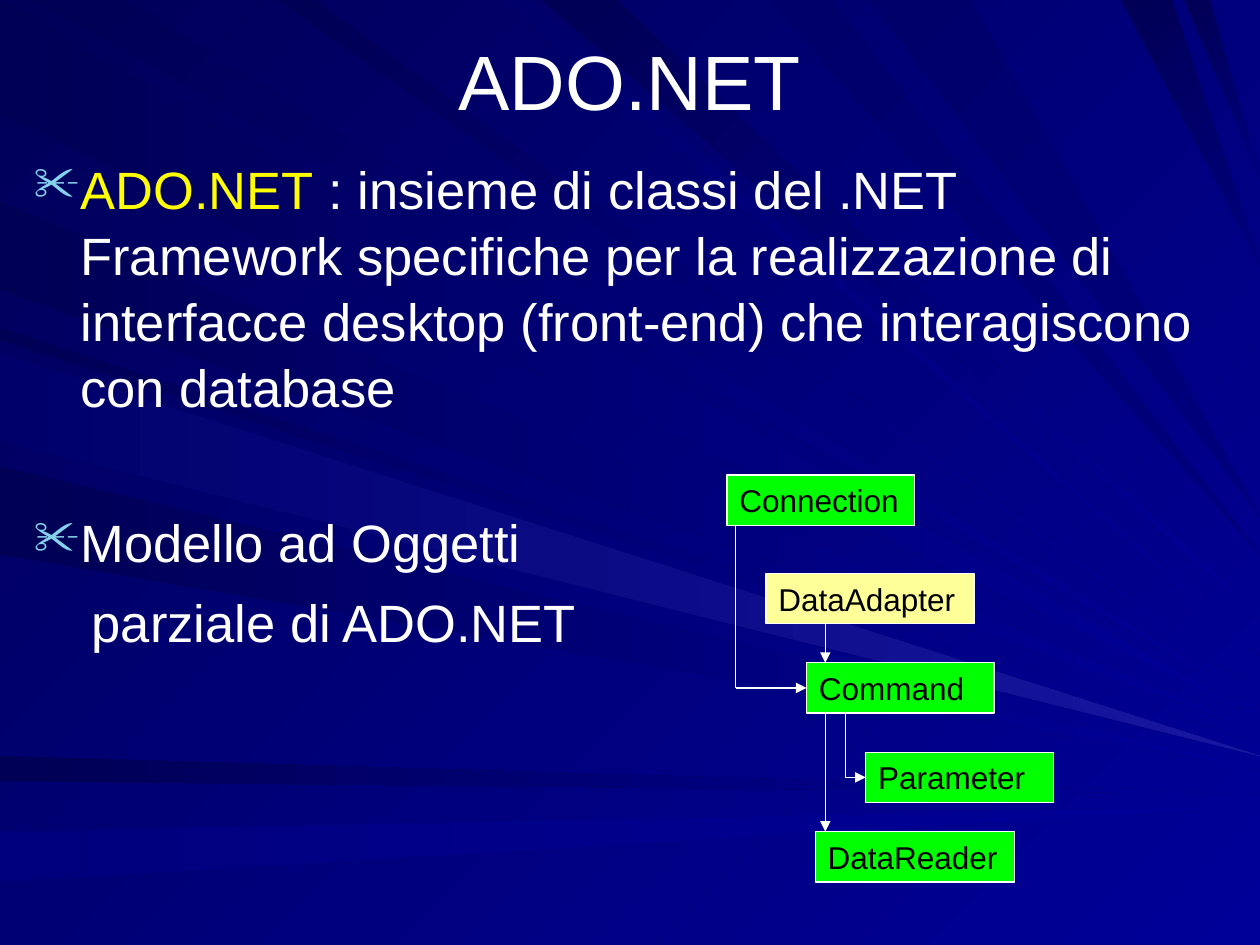
from lxml.etree import SubElement
from pptx import Presentation
from pptx.dml.color import RGBColor
from pptx.enum.shapes import MSO_CONNECTOR, MSO_SHAPE
from pptx.enum.text import MSO_ANCHOR, PP_ALIGN
from pptx.oxml.ns import qn
from pptx.util import Inches, Pt

WHITE = RGBColor(0xFF, 0xFF, 0xFF)
BLACK = RGBColor(0x00, 0x00, 0x00)
YELLOW = RGBColor(0xFF, 0xFF, 0x00)
GREEN = RGBColor(0x00, 0xFF, 0x00)
CREAM = RGBColor(0xFF, 0xFF, 0x99)
NIGHT = RGBColor(0x00, 0x00, 0x58)
DARK_RAY = RGBColor(0x00, 0x00, 0x55)
MID_RAY = RGBColor(0x00, 0x00, 0x6B)
SOFT_RAY = RGBColor(0x00, 0x00, 0x7D)
BLUE = RGBColor(0x00, 0x00, 0x99)
GLOW = RGBColor(0x17, 0x17, 0xA2)
FONT = "Arial"
BULLET, BULLET_COLOR, BULLET_SIZE = "✂", "86D1EC", 90
LEFT_SIDE = 1

# Content
TITLE = "ADO.NET"
# runs (text, colour), bulleted, left margin, space before
BODY = [
    ([("ADO.NET", YELLOW),
      (" : insieme di classi del .NET Framework specifiche per la realizzazione di "
       "interfacce desktop (front-end) che interagiscono con database", WHITE)], True, 0.37, 0),
    ([("Modello ad Oggetti", WHITE)], True, 0.37, 51),
    ([("parziale di ADO.NET", WHITE)], False, 0.46, 7.5),
]
# name: left, top, width, fill
BOX_HEIGHT = 0.4
BOXES = {
    "Connection": (5.77, 3.77, 1.49, GREEN),
    "DataAdapter": (6.08, 4.55, 1.65, CREAM),
    "Command": (6.4, 5.26, 1.49, GREEN),
    "Parameter": (6.87, 5.97, 1.49, GREEN),
    "DataReader": (6.47, 6.6, 1.58, GREEN),
}
# source, target, x of the vertical part, whether it turns into the target's left side
LINKS = [
    ("Connection", "Command", 5.84, True),
    ("DataAdapter", "Command", 6.55, False),
    ("Command", "DataReader", 6.55, False),
    ("Command", "Parameter", 6.71, True),
]
# Rays: start and end along the edge, height of the tip on the right edge, colours
LEFT_RAYS = [
    (0, 0.9, 5.7, DARK_RAY, BLUE),
    (1.6, 2.3, 5.8, DARK_RAY, BLUE),
    (2.6, 2.7, 5.9, DARK_RAY, BLUE),
    (3.7, 4.4, 6.1, DARK_RAY, BLUE),
    (6, 6.2, 6.3, DARK_RAY, BLUE),
    (6.6, 7, 6.4, SOFT_RAY, BLUE),
    (2.8, 3.5, 6, MID_RAY, GLOW),
]
TOP_RAYS = [
    (0.3, 1, 5.6, DARK_RAY, BLUE),
    (2.2, 2.5, 5.5, DARK_RAY, BLUE),
    (4, 4.2, 5.2, MID_RAY, BLUE),
    (4.3, 4.9, 4.9, DARK_RAY, BLUE),
    (6.1, 6.6, 4.4, MID_RAY, SOFT_RAY),
    (6.9, 7.7, 4.1, MID_RAY, SOFT_RAY),
    (8.9, 9.3, 2.1, DARK_RAY, SOFT_RAY),
    (9.4, 9.6, 1.4, DARK_RAY, SOFT_RAY),
]


def set_gradient(fill, first, last, angle):
    fill.gradient()
    fill.gradient_angle = -angle % 360
    for stop, color in zip(fill.gradient_stops, (first, last)):
        stop.color.rgb = color


def add_ray(group, start, end, tip, first, last, *, from_top):
    edge = [(Inches(place), 0) if from_top else (0, Inches(place)) for place in (start, end)]
    builder = group.shapes.build_freeform(*edge[0])
    builder.add_line_segments([edge[1], (Inches(10), Inches(tip))], close=True)
    ray = builder.convert_to_shape()
    ray.shadow.inherit = False
    ray.line.fill.background()
    set_gradient(ray.fill, first, last, 45 if from_top else 0)


def write(paragraph, runs, *, size, align=PP_ALIGN.LEFT, bulleted=False, margin=0,
          before=0, spacing=None):
    properties = paragraph._p.get_or_add_pPr()
    properties.set("marL", str(Inches(margin)))
    properties.set("indent", str(-Inches(margin) if bulleted else 0))
    if bulleted:
        color = SubElement(properties, qn("a:buClr"))
        SubElement(color, qn("a:srgbClr"), val=BULLET_COLOR)
        SubElement(properties, qn("a:buSzPct"), val=str(BULLET_SIZE * 1000))
        SubElement(properties, qn("a:buChar"), char=BULLET)
    else:
        SubElement(properties, qn("a:buNone"))
    paragraph.alignment = align
    paragraph.space_before = Pt(before)
    if spacing:
        paragraph.line_spacing = spacing
    for text, color in runs:
        run = paragraph.add_run()
        run.text = text
        run.font.name, run.font.size, run.font.color.rgb = FONT, Pt(size), color


def add_line(slide, start, end, target=None, arrow=True):
    line = slide.shapes.add_connector(MSO_CONNECTOR.STRAIGHT, *map(Inches, start + end))
    line.line.color.rgb, line.line.width = WHITE, Pt(0.75)
    if target is not None:
        line.end_connect(target, LEFT_SIDE)
    if arrow:
        SubElement(line.line._get_or_add_ln(), qn("a:tailEnd"), type="triangle")
    SubElement(line._element.spPr, qn("a:effectLst"))


def main():
    presentation = Presentation()
    presentation.slide_width, presentation.slide_height = Inches(10), Inches(7.5)
    slide = presentation.slides.add_slide(presentation.slide_layouts[5])
    title = slide.shapes.title

    # Background with rays, behind the title
    set_gradient(slide.background.fill, NIGHT, BLUE, 45)
    rays = slide.shapes.add_group_shape()
    for from_top, group in ((False, LEFT_RAYS), (True, TOP_RAYS)):
        for ray in group:
            add_ray(rays, *ray, from_top=from_top)
    title.element.addprevious(rays.element)

    # Title
    title.left, title.top, title.width, title.height = map(Inches, (0.75, 0.17, 8.5, 0.92))
    title.text_frame.vertical_anchor = MSO_ANCHOR.MIDDLE
    write(title.text_frame.paragraphs[0], [(TITLE, WHITE)], size=44, align=PP_ALIGN.CENTER)

    # Body text
    frame = slide.shapes.add_textbox(*map(Inches, (0.17, 1.17, 9.58, 4.5))).text_frame
    frame.word_wrap = True
    for index, (runs, bulleted, margin, before) in enumerate(BODY):
        paragraph = frame.add_paragraph() if index else frame.paragraphs[0]
        write(paragraph, runs, size=30, bulleted=bulleted, margin=margin,
              before=before, spacing=1.05)

    # Object model boxes
    shapes = {}
    for name, (left, top, width, color) in BOXES.items():
        box = slide.shapes.add_shape(
            MSO_SHAPE.RECTANGLE, *map(Inches, (left, top, width, BOX_HEIGHT)))
        box.shadow.inherit = False
        box.fill.solid()
        box.fill.fore_color.rgb = color
        box.line.color.rgb, box.line.width = WHITE, Pt(0.75)
        box.text_frame.vertical_anchor = MSO_ANCHOR.MIDDLE
        write(box.text_frame.paragraphs[0], [(name, BLACK)], size=18)
        shapes[name] = box

    # Links between the boxes
    for source, target, x, turns in LINKS:
        bottom = BOXES[source][1] + BOX_HEIGHT
        left, top = BOXES[target][:2]
        if turns:
            middle = top + BOX_HEIGHT / 2
            add_line(slide, (x, bottom), (x, middle), arrow=False)
            add_line(slide, (x, middle), (left, middle), target=shapes[target])
        else:
            add_line(slide, (x, bottom), (x, top))

    presentation.save("out.pptx")


if __name__ == "__main__":
    main()
